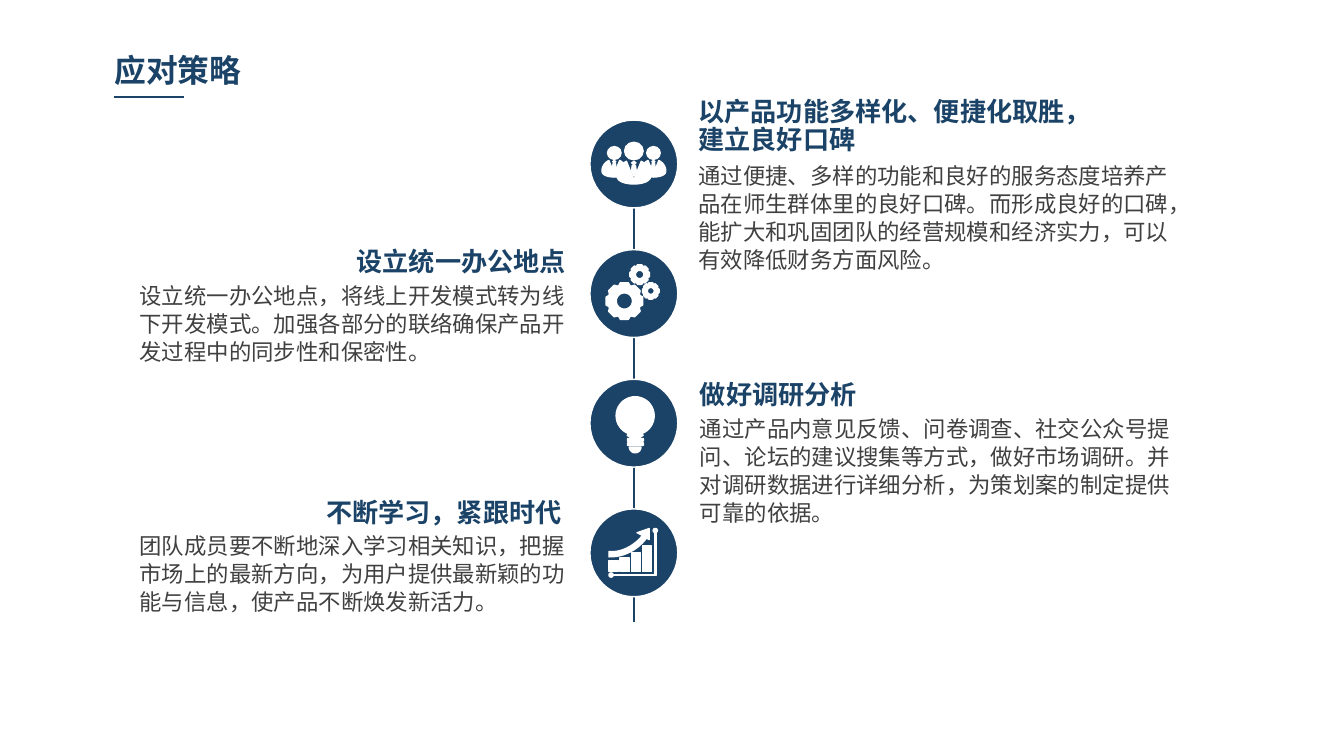
from dataclasses import dataclass
from math import cos, radians, sin

from lxml import etree
from pptx import Presentation
from pptx.dml.color import RGBColor
from pptx.enum.shapes import MSO_CONNECTOR, MSO_SHAPE
from pptx.enum.text import MSO_ANCHOR, MSO_AUTO_SIZE, PP_ALIGN
from pptx.oxml.ns import qn
from pptx.util import Cm, Pt

LEFT, RIGHT = PP_ALIGN.LEFT, PP_ALIGN.RIGHT
TOP = MSO_ANCHOR.TOP
GROW = MSO_AUTO_SIZE.SHAPE_TO_FIT_TEXT
STRAIGHT = MSO_CONNECTOR.STRAIGHT
OVAL, RECTANGLE = MSO_SHAPE.OVAL, MSO_SHAPE.RECTANGLE
ROUNDED = MSO_SHAPE.ROUNDED_RECTANGLE

Point = tuple[float, float]


@dataclass(frozen=True)
class Theme:
    font: str = "Noto Sans CJK SC"
    navy: RGBColor = RGBColor(0x1B, 0x43, 0x67)
    gray: RGBColor = RGBColor(0x40, 0x40, 0x40)
    white: RGBColor = RGBColor(0xFF, 0xFF, 0xFF)
    title_size: float = 17
    heading_size: float = 14
    body_size: float = 12
    leading: float = 15
    line_width: float = 0.75
    gear_line_width: float = 1


@dataclass(frozen=True)
class Area:
    left: float
    top: float
    width: float
    height: float


@dataclass(frozen=True)
class Strategy:
    heading: str
    heading_area: Area
    body: str
    body_area: Area
    align: PP_ALIGN


THEME = Theme()
AXIS_X, FIRST_Y, STEP_Y, DIAMETER = 11.98, 3.1, 2.45, 1.66

STRATEGIES = (
    Strategy("以产品功能多样化、便捷化取胜，建立良好口碑", Area(12.95, 1.75, 8, 1.32),
             "通过便捷、多样的功能和良好的服务态度培养产品在师生群体里的良好口碑。而形成良好的口碑，"
             "能扩大和巩固团队的经营规模和经济实力，可以有效降低财务方面风险。",
             Area(12.95, 2.92, 9.75, 2.34), LEFT),
    Strategy("设立统一办公地点", Area(5.41, 4.57, 5.54, 0.79),
             "设立统一办公地点，将线上开发模式转为线下开发模式。加强各部分的联络确保产品开发过程中的同步性和保密性。",
             Area(2.39, 5.18, 8.61, 1.8), RIGHT),
    Strategy("做好调研分析", Area(12.98, 7.09, 5.51, 0.79),
             "通过产品内意见反馈、问卷调查、社交公众号提问、论坛的建议搜集等方式，做好市场调研。"
             "并对调研数据进行详细分析，为策划案的制定提供可靠的依据。",
             Area(12.98, 7.7, 9.47, 2.34), LEFT),
    Strategy("不断学习，紧跟时代", Area(4.9, 9.32, 5.97, 0.79),
             "团队成员要不断地深入学习相关知识，把握市场上的最新方向，为用户提供最新颖的功能与信息，使产品不断焕发新活力。",
             Area(2.39, 9.91, 8.61, 2.34), RIGHT),
)


def write_text(box, text: str, *, size: float, color: RGBColor, bold: bool = False,
               align: PP_ALIGN = LEFT, leading: float | None = None) -> None:
    frame = box.text_frame
    frame.word_wrap = True
    frame.auto_size = GROW
    frame.vertical_anchor = TOP
    para = frame.paragraphs[0]
    para.alignment = align
    if leading:
        para.line_spacing = Pt(leading)
    span = para.add_run()
    span.text = text
    span.font.name = THEME.font
    span.font.size = Pt(size)
    span.font.bold = bold
    span.font.color.rgb = color
    etree.SubElement(span.font._element, qn("a:ea"), typeface=THEME.font)


def place(box, area: Area) -> None:
    box.left, box.top = Cm(area.left), Cm(area.top)
    box.width, box.height = Cm(area.width), Cm(area.height)


def add_text(page, area: Area, text: str, **style) -> None:
    box = page.shapes.add_textbox(0, 0, 0, 0)
    write_text(box, text, leading=THEME.leading, **style)
    place(box, area)


def add_line(page, start: Point, end: Point) -> None:
    line = page.shapes.add_connector(STRAIGHT, *map(Cm, start + end))
    line.line.color.rgb = THEME.navy
    line.line.width = Pt(THEME.line_width)
    etree.SubElement(line._element.spPr, qn("a:effectLst"))


def paint(shape, fill: RGBColor, width: float = THEME.line_width) -> None:
    shape.shadow.inherit = False
    shape.fill.solid()
    shape.fill.fore_color.rgb = fill
    shape.line.color.rgb = THEME.white
    shape.line.width = Pt(width)


def arc(center: Point, radius: float, start: float, end: float, steps: int = 36) -> list[Point]:
    angles = [radians(start + (end - start) * i / steps) for i in range(steps + 1)]
    return [(center[0] + radius * cos(a), center[1] + radius * sin(a)) for a in angles]


def curve(a: Point, b: Point, c: Point, d: Point, steps: int = 12) -> list[Point]:
    times = [i / steps for i in range(steps + 1)]
    return [tuple((1 - t) ** 3 * p + 3 * (1 - t) ** 2 * t * q + 3 * (1 - t) * t ** 2 * r + t ** 3 * s
                  for p, q, r, s in zip(a, b, c, d)) for t in times]


@dataclass(frozen=True)
class Icon:
    """Draws white parts in millimetres from the centre of a badge."""
    page: object
    y: float

    def spot(self, point: Point) -> Point:
        return Cm(AXIS_X + point[0] / 10), Cm(self.y + point[1] / 10)

    def preset(self, kind: MSO_SHAPE, left: float, top: float, width: float, height: float) -> None:
        x, y = self.spot((left, top))
        paint(self.page.shapes.add_shape(kind, x, y, Cm(width / 10), Cm(height / 10)), THEME.white)

    def outline(self, *contours: list[Point], width: float = THEME.line_width) -> None:
        first, *others = [[self.spot(point) for point in contour] for contour in contours]
        builder = self.page.shapes.build_freeform(*first[0])
        builder.add_line_segments(first[1:], close=True)
        for contour in others:
            builder.move_to(*contour[0])
            builder.add_line_segments(contour[1:], close=True)
        paint(builder.convert_to_shape(), THEME.white, width)


def draw_person(icon: Icon, x: float, y: float, scale: float) -> None:
    def fit(points: list[Point]) -> list[Point]:
        return [(x + scale * px, y + scale * py) for px, py in points]

    icon.preset(OVAL, x - 1.75 * scale, y - 4.1 * scale, 3.5 * scale, 3.3 * scale)
    icon.outline(fit([(0, 3)] + curve((-1.4, -0.5), (-2.4, 0), (-3.2, 1), (-3.2, 2.3))
                     + curve((-3.2, 2.3), (-3.2, 4.3), (3.2, 4.3), (3.2, 2.3))
                     + curve((3.2, 2.3), (3.2, 1), (2.4, 0), (1.4, -0.5))))
    icon.outline(fit([(0, -0.5), (0.4, -0.2), (0, 0.1), (-0.4, -0.2)]))
    icon.outline(fit([(0, 0.1), (0.3, 0.3), (0.45, 1.3), (0, 2.3), (-0.45, 1.3), (-0.3, 0.3)]))


def draw_team(icon: Icon) -> None:
    for x in (-3.7, 3.7):
        draw_person(icon, x, -0.3, 0.73)
    draw_person(icon, 0, 0, 1)


def draw_gears(icon: Icon) -> None:
    for center, radius in (((-1.8, 1.4), 3.5), ((1.1, -3.6), 1.85), ((3.2, -0.5), 1.55)):
        teeth = []
        for angle in range(0, 360, 45):
            for turn, share in ((-19, 0.88), (-12, 1), (12, 1), (19, 0.88)):
                teeth += arc(center, radius * share, angle + turn, angle + turn, 1)[:1]
        icon.outline(teeth, arc(center, radius * 0.45, 0, 360), width=THEME.gear_line_width)


def draw_bulb(icon: Icon) -> None:
    icon.outline(arc((0.25, -1.4), 3.6, 110, 430)
                 + [(1.75, 2.3), (1.15, 2.7), (-0.65, 2.7), (-1.25, 2.3)])
    for top in (2.9, 3.7):
        icon.preset(ROUNDED, -1.2, top, 3, 0.5)
    icon.outline(arc((0.25, 4.5), 1.1, 0, 180))


def draw_growth(icon: Icon) -> None:
    icon.outline([(2.9, -2.5), (2.9, -4.6), (0.6, -3.8)]
                 + curve((1.65, -3.3), (0, -1.2), (-2.6, 0), (-4.7, -0.25))
                 + curve((-4.7, 0.75), (-1.8, 0.9), (1, -0.8), (2.4, -2.8)))
    for index, top in enumerate((1.5, 1, 0, -1.3)):
        icon.preset(RECTANGLE, -4.7 + 2.1 * index, top, 1.75, 3.6 - top)
    icon.outline([(3.9, -3.8), (4.2, -3.8), (4.2, 4.3), (-4, 4.3), (-4, 4.05), (3.9, 4.05)])
    for left, top in ((3.65, -4.6), (-4.7, 3.8)):
        icon.preset(OVAL, left, top, 0.8, 0.8)


def main() -> None:
    deck = Presentation()
    deck.slide_width, deck.slide_height = Cm(25.4), Cm(14.29)
    page = deck.slides.add_slide(deck.slide_layouts[5])

    title = page.shapes.title
    place(title, Area(1.98, 0.86, 6.27, 0.91))
    write_text(title, "应对策略", size=THEME.title_size, color=THEME.navy, bold=True)
    frame = title.text_frame
    frame.margin_left = frame.margin_right = Cm(0.18)
    frame.margin_top = frame.margin_bottom = Cm(0.1)
    add_line(page, (2.16, 1.83), (3.48, 1.83))
    add_line(page, (AXIS_X, 2.44), (AXIS_X, 11.76))

    drawings = (draw_team, draw_gears, draw_bulb, draw_growth)
    for index, (strategy, draw_icon) in enumerate(zip(STRATEGIES, drawings)):
        y = FIRST_Y + STEP_Y * index
        badge = page.shapes.add_shape(OVAL, Cm(AXIS_X - DIAMETER / 2), Cm(y - DIAMETER / 2),
                                      Cm(DIAMETER), Cm(DIAMETER))
        paint(badge, THEME.navy)
        draw_icon(Icon(page, y))
        add_text(page, strategy.body_area, strategy.body, size=THEME.body_size, color=THEME.gray)
        add_text(page, strategy.heading_area, strategy.heading, size=THEME.heading_size,
                 color=THEME.navy, bold=True, align=strategy.align)

    deck.save("out.pptx")


if __name__ == "__main__":
    main()
